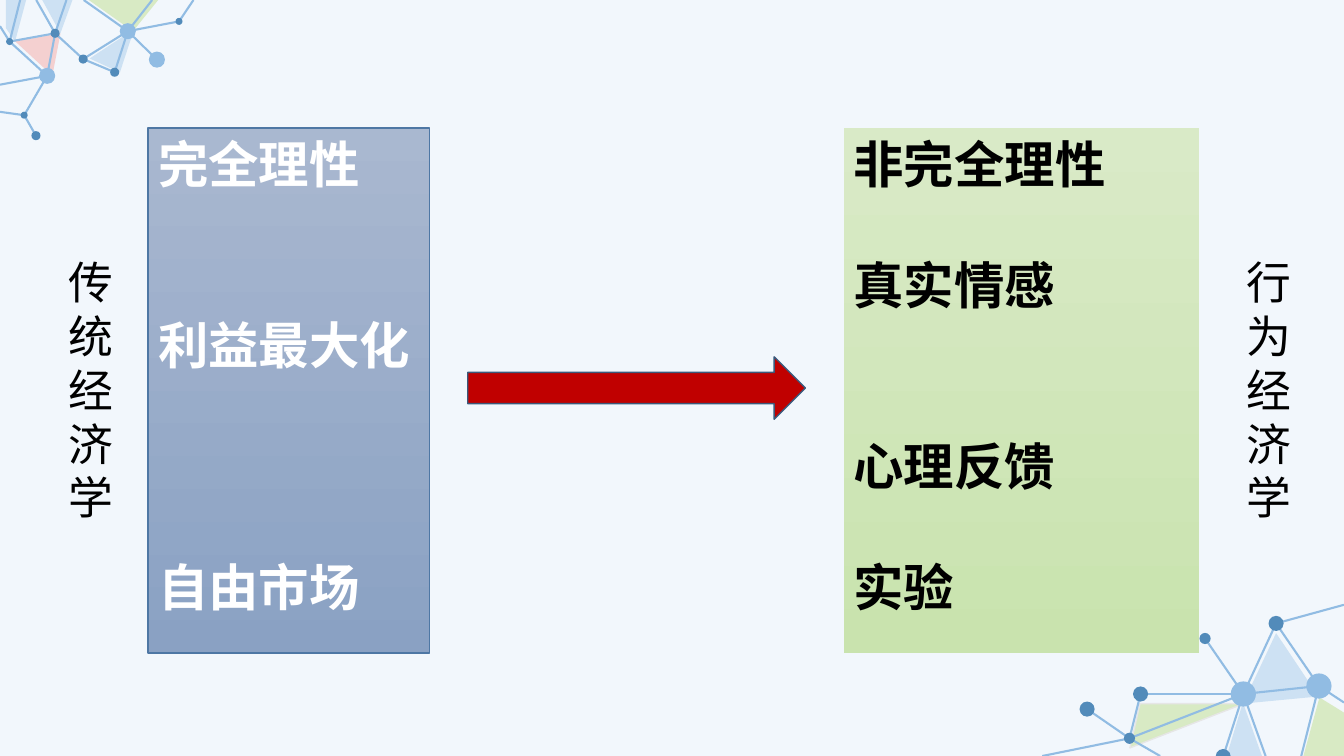
from pptx import Presentation
from pptx.dml.color import RGBColor
from pptx.enum.shapes import MSO_CONNECTOR as Connector, MSO_SHAPE as Preset
from pptx.enum.text import MSO_ANCHOR as Anchor, PP_ALIGN as Align
from pptx.oxml.ns import qn
from pptx.util import Pt
from lxml.etree import SubElement

FONT = "Arial"
COLORS = {
    "background": "F2F7FC", "pale blue": "CDE1F3", "pale green": "D8EAC4",
    "pale red": "F4D0D0", "sky": "91BCE3", "steel": "528BBA", "grey": "E6E6E6",
    "slate top": "A9B8D0", "slate bottom": "8AA1C3", "slate edge": "4E77A4",
    "lime top": "D9EAC7", "lime bottom": "C9E3AE",
    "arrow": "C00000", "arrow edge": "3B597B", "white": "FFFFFF", "black": "000000",
}

# Each theory: frame, gradient, edge, text colour, (empty lines above, idea)
THEORIES = [
    ((105.8, 91.4, 200.9, 375.1), ("slate top", "slate bottom"), "slate edge", "white",
     [(0, "完全理性"), (2, "利益最大化"), (3, "自由市场")]),
    ((602.6, 91.4, 254.2, 375.1), ("lime top", "lime bottom"), None, "black",
     [(0, "非完全理性"), (1, "真实情感"), (2, "心理反馈"), (1, "实验")]),
]
LABELS = [((41.8, 178.6, 42.5, 200.9), "传统经济学"),
          ((883.4, 178.6, 45.4, 200.9), "行为经济学")]
ARROW = (334.1, 254.9, 241.2, 44.6)
IDEA_SIZE, LABEL_SIZE = 36, 32
LINE_HEIGHT = 1.2

# Corner networks: facets (colour, edge, corners), dots (x, y, diameter, colour),
# ends where links leave the slide, and links as pairs of dot or end names
NETWORKS = [
    {
        "facets": [
            ("pale blue", None, [(43.2, 23.8), (30.2, 0), (51.8, 0)]),
            ("pale blue", None, [(10.8, 29.5), (4.3, 20.2), (4.3, 0), (18.7, 0)]),
            ("pale green", None, [(95, 22.3), (63.4, 0), (113, 0)]),
            ("pale blue", None, [(85.7, 51.8), (64.1, 41.8), (95.8, 20.9)]),
            ("pale red", None, [(37.4, 54), (10.8, 29.5), (43.2, 23.8)]),
        ],
        "dots": {
            "A": (59.4, 42.2, 6.5, "steel"), "B": (39.4, 23.8, 6.5, "steel"),
            "C": (6.9, 29.7, 5, "steel"), "D": (81.9, 51.6, 6.5, "steel"),
            "E": (17.3, 82.3, 5, "steel"), "F": (127.9, 15.3, 5, "steel"),
            "G": (25.7, 96.9, 6.5, "steel"), "H": (33.7, 54.2, 11.5, "sky"),
            "I": (91.3, 22.3, 11.5, "sky"), "J": (112.1, 42.6, 11.5, "sky"),
        },
        "ends": {"p": (108.7, 0), "q": (47.5, 0), "r": (59.8, 0), "s": (25.9, 0),
                 "t": (138.2, 0), "u": (14.4, 0), "v": (0, 79.9), "w": (0, 60.5),
                 "x": (0, 18.7)},
        "links": "Ip AD Bq Ir AB DI AI CB CH GE EH Ev Hw Cx Bs IF HB JI Ft Cu",
    },
    {
        "facets": [
            ("pale green", "grey", [(888.5, 502.6), (814.3, 502.6), (807.1, 534.2)]),
            ("pale green", None, [(960, 540), (960, 509), (942.5, 498.2), (931, 540)]),
            ("pale blue", None, [(901.4, 540), (887.8, 501.8), (876.2, 540)]),
            ("pale blue", None, [(941.8, 497.5), (911.5, 452.2), (887.8, 502.6)]),
        ],
        "dots": {
            "A": (888.1, 495.7, 18, "sky"), "B": (911.5, 445.3, 10.8, "steel"),
            "C": (860.8, 456.1, 8, "steel"), "D": (942.1, 490, 18, "sky"),
            "E": (806.8, 527.4, 8, "steel"), "F": (814.7, 495.7, 10.8, "steel"),
            "G": (873.7, 540.4, 10.8, "steel"), "H": (776.5, 506.5, 10.8, "steel"),
        },
        "ends": {"p": (960, 432), "q": (904, 540), "r": (960, 501.8),
                 "s": (828.7, 540), "t": (744.5, 540), "u": (929.5, 540)},
        "links": "BA AC AE DA BD Bp Aq AG Dr Es HE Et AF FE Du",
    },
]


def rgb(color):
    return RGBColor.from_string(COLORS[color])


def points(values):
    return [Pt(value) for value in values]


def style_edge(shape, color, width=1):
    shape.shadow.inherit = False
    if color:
        shape.line.color.rgb = rgb(color)
        shape.line.width = Pt(width)
    else:
        shape.line.fill.background()


def paint(shape, fill, edge=None):
    shape.fill.solid()
    shape.fill.fore_color.rgb = rgb(fill)
    style_edge(shape, edge)


def add_text(paragraph, text, size, color, bold=False):
    paragraph.alignment = Align.LEFT
    run = paragraph.add_run()
    run.text = text
    run.font.name = FONT
    run.font.size = Pt(size)
    run.font.bold = bold
    run.font.color.rgb = rgb(color)


def add_network(shapes, network):
    for color, edge, corners in network["facets"]:
        start, *others = [points(corner) for corner in corners]
        builder = shapes.build_freeform(*start)
        builder.add_line_segments(others, close=True)
        paint(builder.convert_to_shape(), color, edge)

    places = network["ends"] | {name: dot[:2] for name, dot in network["dots"].items()}
    for begin, end in network["links"].split():
        link = shapes.add_connector(
            Connector.STRAIGHT, *points(places[begin]), *points(places[end]))
        link.line.color.rgb = rgb("sky")
        link.line.width = Pt(1.5)
        SubElement(link._element.spPr, qn("a:effectLst"))

    for x, y, diameter, color in network["dots"].values():
        frame = (x - diameter / 2, y - diameter / 2, diameter, diameter)
        paint(shapes.add_shape(Preset.OVAL, *points(frame)), color)


def add_theory(shapes, frame, gradient, edge, text_color, ideas):
    panel = shapes.add_shape(Preset.RECTANGLE, *points(frame))
    panel.fill.gradient()
    panel.fill.gradient_angle = 270
    for stop, color in zip(panel.fill.gradient_stops, gradient):
        stop.color.rgb = rgb(color)
    style_edge(panel, edge)
    body = panel.text_frame
    body.word_wrap = True
    body.vertical_anchor = Anchor.TOP
    for index, (gap, idea) in enumerate(ideas):
        paragraph = body.add_paragraph() if index else body.paragraphs[0]
        if gap:
            paragraph.space_before = Pt(gap * IDEA_SIZE * LINE_HEIGHT)
        add_text(paragraph, idea, IDEA_SIZE, text_color, bold=True)


def main():
    prs = Presentation()
    prs.slide_width, prs.slide_height = Pt(960), Pt(540)
    slide = prs.slides.add_slide(prs.slide_layouts[6])
    slide.background.fill.solid()
    slide.background.fill.fore_color.rgb = rgb("background")

    for network in NETWORKS:
        add_network(slide.shapes, network)
    for theory in THEORIES:
        add_theory(slide.shapes, *theory)
    paint(slide.shapes.add_shape(Preset.RIGHT_ARROW, *points(ARROW)),
          "arrow", "arrow edge")
    for frame, label in LABELS:
        body = slide.shapes.add_textbox(*points(frame)).text_frame
        body.word_wrap = True
        add_text(body.paragraphs[0], label, LABEL_SIZE, "black")
    prs.save("out.pptx")


if __name__ == "__main__":
    main()
